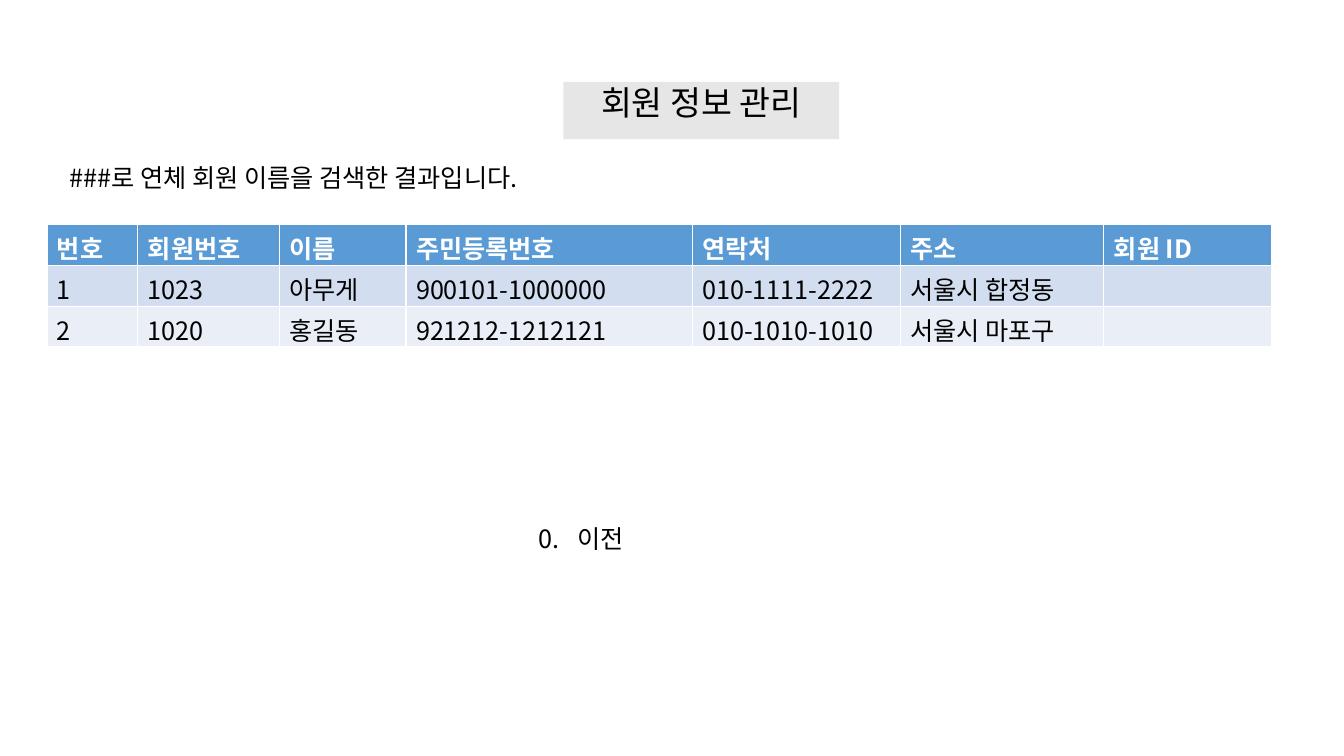
from lxml.etree import SubElement
from pptx import Presentation
from pptx.dml.color import RGBColor
from pptx.enum.shapes import MSO_SHAPE
from pptx.enum.text import MSO_ANCHOR, PP_ALIGN
from pptx.oxml.ns import qn
from pptx.util import Pt

TITLE = "회원 정보 관리"
RESULT_NOTE = "###로 연체 회원 이름을 검색한 결과입니다."
BACK_OPTION = "0.\t이전"
MEMBERS = [
    ("번호", "회원번호", "이름", "주민등록번호", "연락처", "주소", "회원 ID"),
    ("1", "1023", "아무게", "900101-1000000", "010-1111-2222", "서울시 합정동", ""),
    ("2", "1020", "홍길동", "921212-1212121", "010-1010-1010", "서울시 마포구", ""),
]
COLUMN_WIDTHS = (65, 101, 90.5, 204.5, 148.5, 145.5, 120)
ROW_HEIGHT = 29.1

FONT = "Noto Sans CJK KR"
BLACK = RGBColor(0x00, 0x00, 0x00)
WHITE = RGBColor(0xFF, 0xFF, 0xFF)
TITLE_GRAY = RGBColor(0xE7, 0xE6, 0xE6)
HEADER_BLUE = RGBColor(0x5B, 0x9B, 0xD5)
ROW_FILLS = (HEADER_BLUE, RGBColor(0xD2, 0xDE, 0xEF), RGBColor(0xEA, 0xEF, 0xF7))


def style(paragraph, size=18, color=BLACK, bold=False):
    """Set the font for both Latin and Korean text."""
    font = paragraph.font
    font.size, font.bold, font.name = Pt(size), bold, FONT
    font.color.rgb = color
    properties = paragraph._p.pPr.find(qn("a:defRPr"))
    SubElement(properties, qn("a:ea"), typeface=FONT)


def add_line(slide, text, left, top, width, tab=None):
    box = slide.shapes.add_textbox(Pt(left), Pt(top), Pt(width), Pt(29))
    box.text_frame.word_wrap = True
    paragraph = box.text_frame.paragraphs[0]
    paragraph.text = text
    if tab:
        tabs = SubElement(paragraph._p.get_or_add_pPr(), qn("a:tabLst"))
        SubElement(tabs, qn("a:tab"), pos=str(Pt(tab)), algn="l")
    style(paragraph)


def add_title(slide):
    banner = slide.shapes.add_shape(
        MSO_SHAPE.RECTANGLE, Pt(402.5), Pt(58.5), Pt(197), Pt(41))
    banner.shadow.inherit = False
    banner.fill.solid()
    banner.fill.fore_color.rgb = TITLE_GRAY
    banner.line.fill.background()
    banner.text_frame.vertical_anchor = MSO_ANCHOR.TOP
    paragraph = banner.text_frame.paragraphs[0]
    paragraph.text = TITLE
    paragraph.alignment = PP_ALIGN.CENTER
    paragraph.line_spacing = 0.9
    style(paragraph, size=24)


def add_members(slide):
    table = slide.shapes.add_table(
        len(MEMBERS), len(COLUMN_WIDTHS), Pt(33.5), Pt(160.5),
        Pt(sum(COLUMN_WIDTHS)), Pt(ROW_HEIGHT * len(MEMBERS))).table
    for column, width in zip(table.columns, COLUMN_WIDTHS):
        column.width = Pt(width)
    for r, (member, fill) in enumerate(zip(MEMBERS, ROW_FILLS)):
        table.rows[r].height = Pt(ROW_HEIGHT)
        is_header = r == 0
        for c, value in enumerate(member):
            cell = table.cell(r, c)
            cell.fill.solid()
            cell.fill.fore_color.rgb = fill
            cell.text = value
            style(cell.text_frame.paragraphs[0],
                  color=WHITE if is_header else BLACK, bold=is_header)


def main():
    deck = Presentation()
    deck.slide_width, deck.slide_height = Pt(960), Pt(540)
    slide = deck.slides.add_slide(deck.slide_layouts[6])
    add_title(slide)
    add_line(slide, BACK_OPTION, 377.5, 370, 267, tab=28)
    add_members(slide)
    add_line(slide, RESULT_NOTE, 42.5, 112.5, 512.5)
    deck.save("out.pptx")


if __name__ == "__main__":
    main()
